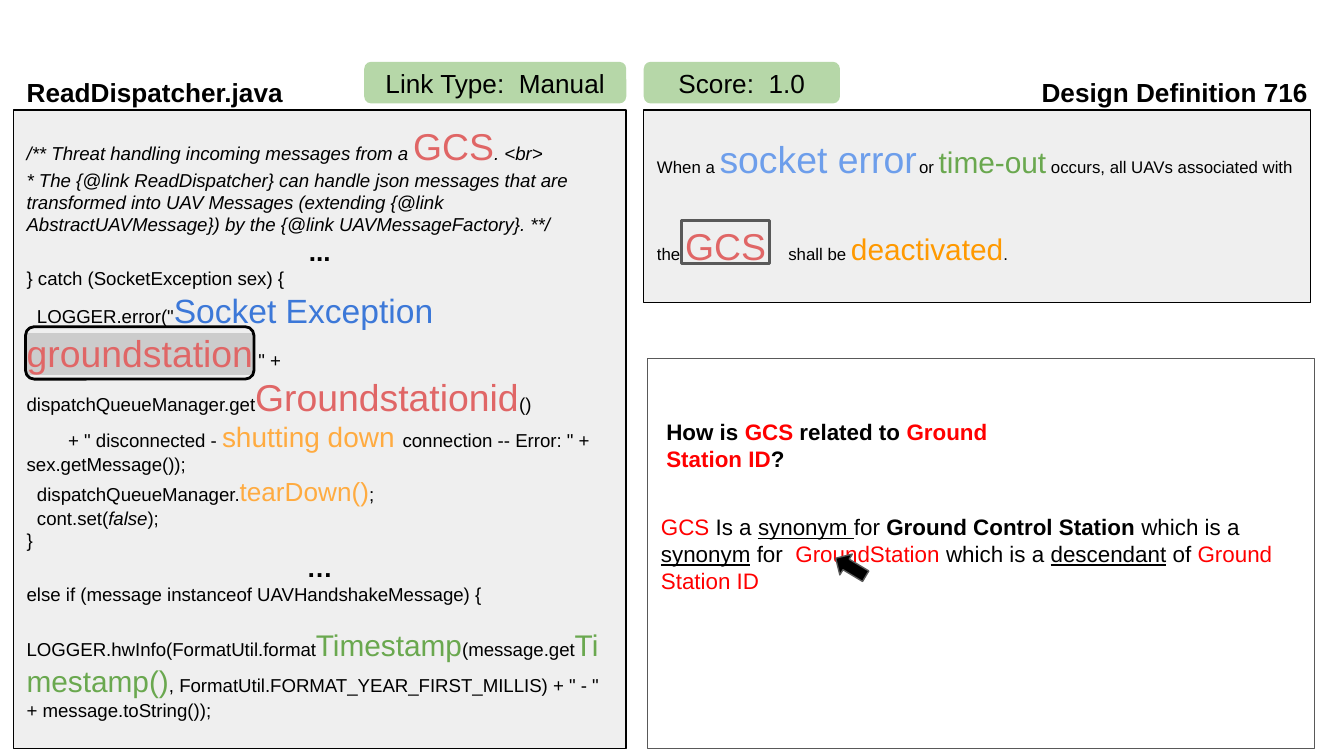
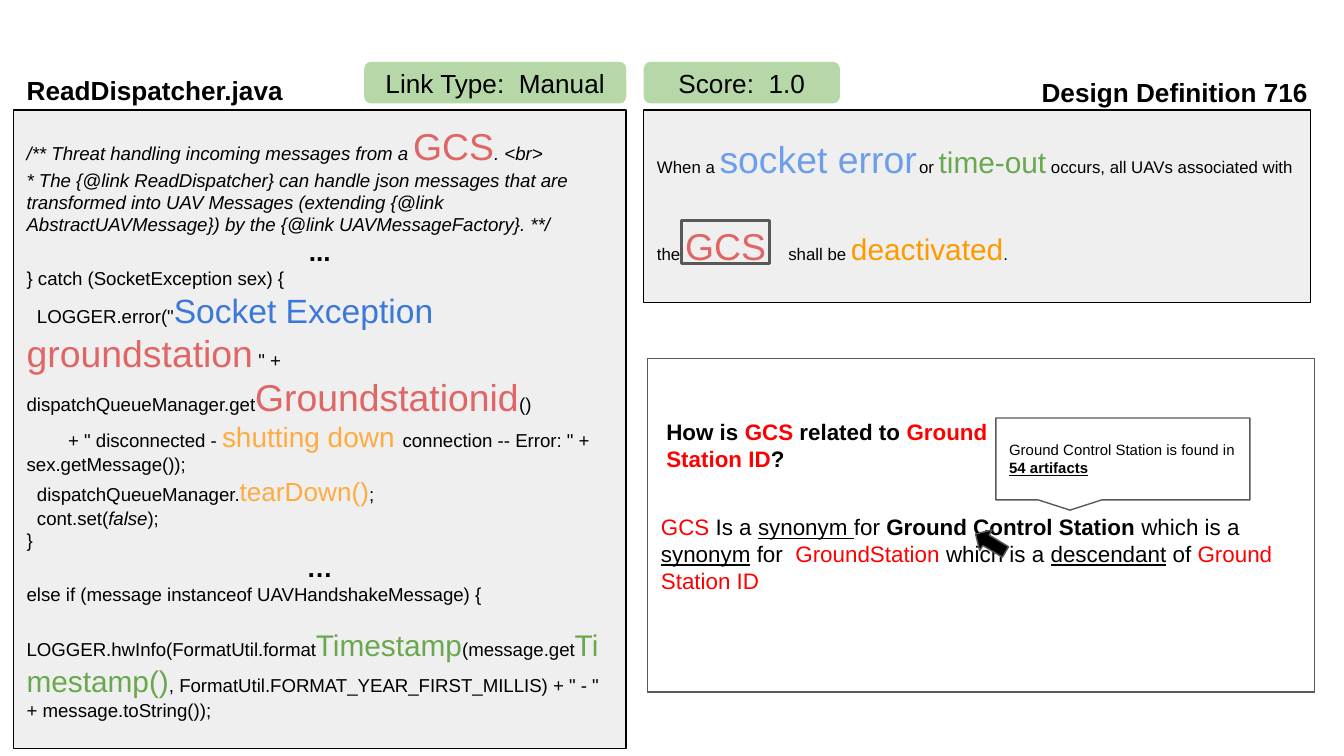
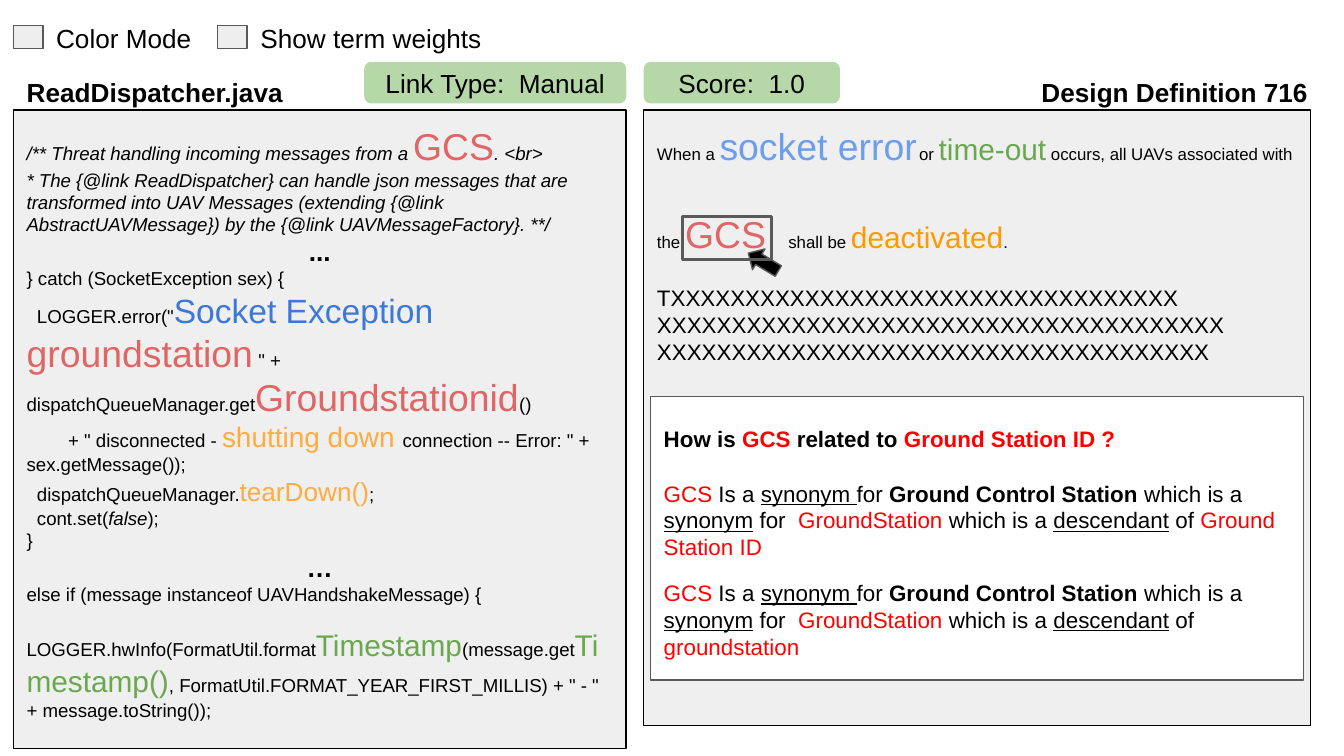
from lxml.etree import SubElement
from pptx import Presentation
from pptx.dml.color import RGBColor
from pptx.enum.shapes import MSO_SHAPE
from pptx.enum.text import MSO_ANCHOR, PP_ALIGN
from pptx.oxml.ns import qn
from pptx.util import Pt

BLACK = RGBColor(0x00, 0x00, 0x00)
WHITE = RGBColor(0xFF, 0xFF, 0xFF)
EDGE = RGBColor(0x59, 0x59, 0x59)
PALE = RGBColor(0xEF, 0xEF, 0xEF)
CHECK = RGBColor(0xEE, 0xEE, 0xEE)
MINT = RGBColor(0xB6, 0xD7, 0xA8)
GREY = RGBColor(0xCC, 0xCC, 0xCC)
RED = RGBColor(0xFF, 0x00, 0x00)
ROSE = RGBColor(0xE0, 0x66, 0x66)
BLUE = RGBColor(0x3C, 0x78, 0xD8)
SKY = RGBColor(0x6D, 0x9E, 0xEB)
GREEN = RGBColor(0x6A, 0xA8, 0x4F)
AMBER = RGBColor(0xFF, 0xAB, 0x40)
ORANGE = RGBColor(0xFF, 0x99, 0x00)

LEFT, MID, RIGHT = PP_ALIGN.LEFT, PP_ALIGN.CENTER, PP_ALIGN.RIGHT
TOP, CENTER = MSO_ANCHOR.TOP, MSO_ANCHOR.MIDDLE
FONT = "Arial"
INSET = 7.2
SPACE = 2.78  # width of one space in 10 pt type


def run(text, size=10, color=BLACK, style="", back=None):
    """Describe a run; style may hold b, i and u."""
    return text, size, color, style, back


def para(*runs, align=LEFT, before=0, indent=0):
    """Describe a paragraph made of runs."""
    return runs, align, before, indent


def code(back):
    """Return the source code, with an optional highlight on one term."""
    return [
        para(run("/** Threat handling incoming messages from a ", style="i"),
             run("GCS", 20, ROSE), run(". <br>", style="i")),
        para(run("* The {@link ReadDispatcher} can handle json messages that are "
                 "transformed into UAV Messages (extending {@link "
                 "AbstractUAVMessage}) by the {@link UAVMessageFactory}. **/",
                 style="i")),
        para(run("...", 14, style="b"), align=MID),
        para(run("} catch (SocketException sex) {")),
        para(run('LOGGER.error("'), run("Socket Exception", 18, BLUE), run(" "),
             run("groundstation", 20, ROSE, back=back),
             run(' " + dispatchQueueManager.get'),
             run("Groundstationid", 20, ROSE), run("()"), indent=2 * SPACE),
        para(run('+ " disconnected - '), run("shutting down ", 15, AMBER),
             run('connection -- Error: " + sex.getMessage());'),
             indent=8 * SPACE),
        para(run("dispatchQueueManager."), run("tearDown()", 14, AMBER),
             run(";"), indent=2 * SPACE),
        para(run("cont.set("), run("false", style="i"), run(");"),
             indent=2 * SPACE),
        para(run("}")),
        para(run("…", 14, style="b"), align=MID),
        para(run("else if (message instanceof UAVHandshakeMessage) {")),
        para(run("LOGGER.hwInfo(FormatUtil.format"), run("Timestamp", 16, GREEN),
             run("(message.get"), run("Timestamp()", 16, GREEN),
             run(', FormatUtil.FORMAT_YEAR_FIRST_MILLIS) + " - " '
                 "+ message.toString());"), before=11.5),
    ]


DESIGN = para(
    run("When a ", 9), run("socket error", 20, SKY), run(" ", 4, SKY),
    run("or ", 9), run("time-out", 16, GREEN),
    run(" occurs, all UAVs associated with the ", 9), run("GCS", 20, ROSE),
    run(" ", 43, ROSE), run("shall be ", 9), run("deactivated", 16, ORANGE),
    run(".", 9))

FILLER = [
    para(run("T" + "X" * 34, 12), before=10.35),
    para(run("X" * 38, 12)),
    para(run("X" * 37, 12)),
]


class Deck:
    """Hold the shared style and the current slide."""

    def __init__(self):
        """Start a deck of the right size."""
        self.prs = Presentation()
        self.prs.slide_width, self.prs.slide_height = Pt(720), Pt(405)
        self.slide = None

    def page(self):
        """Add a blank slide."""
        self.slide = self.prs.slides.add_slide(self.prs.slide_layouts[6])

    def words(self, shape, paras, anchor=TOP):
        """Fill a shape with paragraphs, run by run."""
        frame = shape.text_frame
        frame.word_wrap = True
        frame.vertical_anchor = anchor
        frame.margin_left = frame.margin_right = Pt(INSET)
        frame.margin_top = frame.margin_bottom = Pt(INSET)
        for num, (runs, align, before, indent) in enumerate(paras):
            line = frame.add_paragraph() if num else frame.paragraphs[0]
            line.alignment = align
            if before:
                line.space_before = Pt(before)
            if indent:
                line._p.get_or_add_pPr().set("indent", str(int(Pt(indent))))
            for text, size, color, style, back in runs:
                part = line.add_run()
                part.text = text
                font = part.font
                font.name, font.size = FONT, Pt(size)
                font.color.rgb = color
                font.bold, font.italic = "b" in style, "i" in style
                font.underline = "u" in style
                if back is not None:
                    self.shade(part, back)

    def shade(self, part, color):
        """Highlight a run."""
        props = part._r.get_or_add_rPr()
        mark = SubElement(props, qn("a:highlight"))
        SubElement(mark, qn("a:srgbClr")).set("val", str(color))
        props.find(qn("a:solidFill")).addnext(mark)

    def shape(self, kind, x, y, w, h, fill=None, line=EDGE, width=0.75, adj=()):
        """Add a preset shape without shadow."""
        item = self.slide.shapes.add_shape(kind, Pt(x), Pt(y), Pt(w), Pt(h))
        item.shadow.inherit = False
        for num, value in enumerate(adj):
            item.adjustments[num] = value
        if fill is None:
            item.fill.background()
        else:
            item.fill.solid()
            item.fill.fore_color.rgb = fill
        if line is None:
            item.line.fill.background()
        else:
            item.line.color.rgb = line
            item.line.width = Pt(width)
        return item

    def rect(self, x, y, w, h, **look):
        """Add a rectangle."""
        return self.shape(MSO_SHAPE.RECTANGLE, x, y, w, h, **look)

    def round(self, x, y, w, h, **look):
        """Add a rounded rectangle."""
        return self.shape(MSO_SHAPE.ROUNDED_RECTANGLE, x, y, w, h,
                          adj=[0.167], **look)

    def text(self, x, y, w, h, paras, anchor=TOP):
        """Add a text box."""
        box = self.slide.shapes.add_textbox(Pt(x), Pt(y), Pt(w), Pt(h))
        self.words(box, paras, anchor)

    def title(self, x, y, w, text, align=LEFT):
        """Add the bold title of a panel."""
        self.text(x, y, w, 23, [para(run(text, 14, style="b"), align=align)])

    def pill(self, x, w, text):
        """Add a green label."""
        item = self.round(x, 33.1, w, 22.3, fill=MINT, line=None)
        self.words(item, [para(run(text, 14), align=MID)], CENTER)

    def check(self, x, w, text):
        """Add a check box with its label."""
        self.rect(x, 13.7, 15.8, 12.2, fill=CHECK)
        self.text(x + 15.8, 10.8, w, 18.7, [para(run(text, 14))], CENTER)

    def arrow(self, x, y):
        """Add the tilted pointer."""
        item = self.shape(MSO_SHAPE.LEFT_ARROW, x, y, 18.7, 13, fill=BLACK,
                          adj=[0.5, 0.5])
        item.rotation = 31

    def focus(self, x, y):
        """Frame the chosen term."""
        self.rect(x, y, 47.5, 23, width=1.5)

    def ask(self, x, y, w, term, tail=""):
        """Add the bold question."""
        runs = [run("How is ", 12, style="b"), run("GCS", 12, RED, "b"),
                run(" related to ", 12, style="b"), run(term, 12, RED, "b")]
        if tail:
            runs.append(run(tail, 12, style="b"))
        self.text(x, y, w, 51.1, [para(*runs)])

    def reply(self, x, y, w, h, term):
        """Add the chain of terms that answers the question."""
        self.text(x, y, w, h, [para(
            run("GCS", 12, RED), run(" Is a ", 12),
            run("synonym ", 12, style="u"), run("for ", 12),
            run("Ground Control Station", 12, style="b"),
            run(" which is a ", 12), run("synonym", 12, style="u"),
            run(" for  ", 12), run("GroundStation", 12, RED),
            run(" which is a ", 12), run("descendant", 12, style="u"),
            run(" of ", 12), run(term, 12, RED))])

    def base(self, back=None, top=33.8, wide=236.2, tall=103, anchor=CENTER,
             extra=()):
        """Start a slide with both panels, their titles and labels."""
        self.page()
        item = self.rect(7.2, 59, 328.3, 342, fill=PALE, line=BLACK)
        self.words(item, code(back))
        item = self.rect(344.9, 59, 357.1, tall, fill=PALE, line=BLACK)
        self.words(item, [DESIGN, *extra], anchor)
        self.title(7.2, top, 236.2, "ReadDispatcher.java")
        self.title(707.8 - wide, 33.8, wide, "Design Definition 716", RIGHT)
        self.pill(195.1, 140.4, "Link Type:  Manual")
        self.pill(344.9, 105.1, "Score:  1.0")

    def panel(self, tall):
        """Add the open panel with question and answer."""
        self.rect(347, 192.2, 357.1, tall)
        self.reply(347, 267.8, 352.1, 46.8, "Ground Station ID")
        self.ask(349.9, 216.7, 211, "Ground Station ID", "?")
        self.focus(365, 118.1)

    def callout(self, x, y, w, h, paras):
        """Add a speech box."""
        item = self.shape(MSO_SHAPE.RECTANGULAR_CALLOUT, x, y, w, h,
                          adj=[-0.208, 0.625])
        self.words(item, paras, CENTER)


def main():
    """Build the three slides."""
    deck = Deck()

    deck.base(back=GREY)
    deck.panel(208.8)
    deck.arrow(446.4, 297.4)
    deck.round(13.7, 175, 122.4, 28.1, line=BLACK, width=1.5)

    deck.base(top=32.4)
    deck.panel(178.6)
    deck.arrow(521.3, 284.4)
    deck.callout(533.5, 223.9, 136.1, 43.9, [
        para(run("Ground Control Station is found in ", 8)),
        para(run("54 artifacts", 8, style="bu"))])

    deck.base(wide=206.6, tall=329.8, anchor=TOP, extra=FILLER)
    deck.rect(348.5, 212.4, 349.9, 151.9, fill=WHITE)
    deck.reply(348.5, 249.8, 352.1, 64.1, "Ground Station ID")
    deck.ask(348.5, 220.3, 331.9, "Ground Station ID ?")
    deck.arrow(399.6, 133.9)
    deck.focus(365.8, 115.9)
    deck.check(7.2, 120.2, "Color Mode")
    deck.check(116.6, 167.8, "Show term weights")
    deck.reply(348.5, 303.1, 342, 64.1, "groundstation")

    deck.prs.save("out.pptx")


main()
